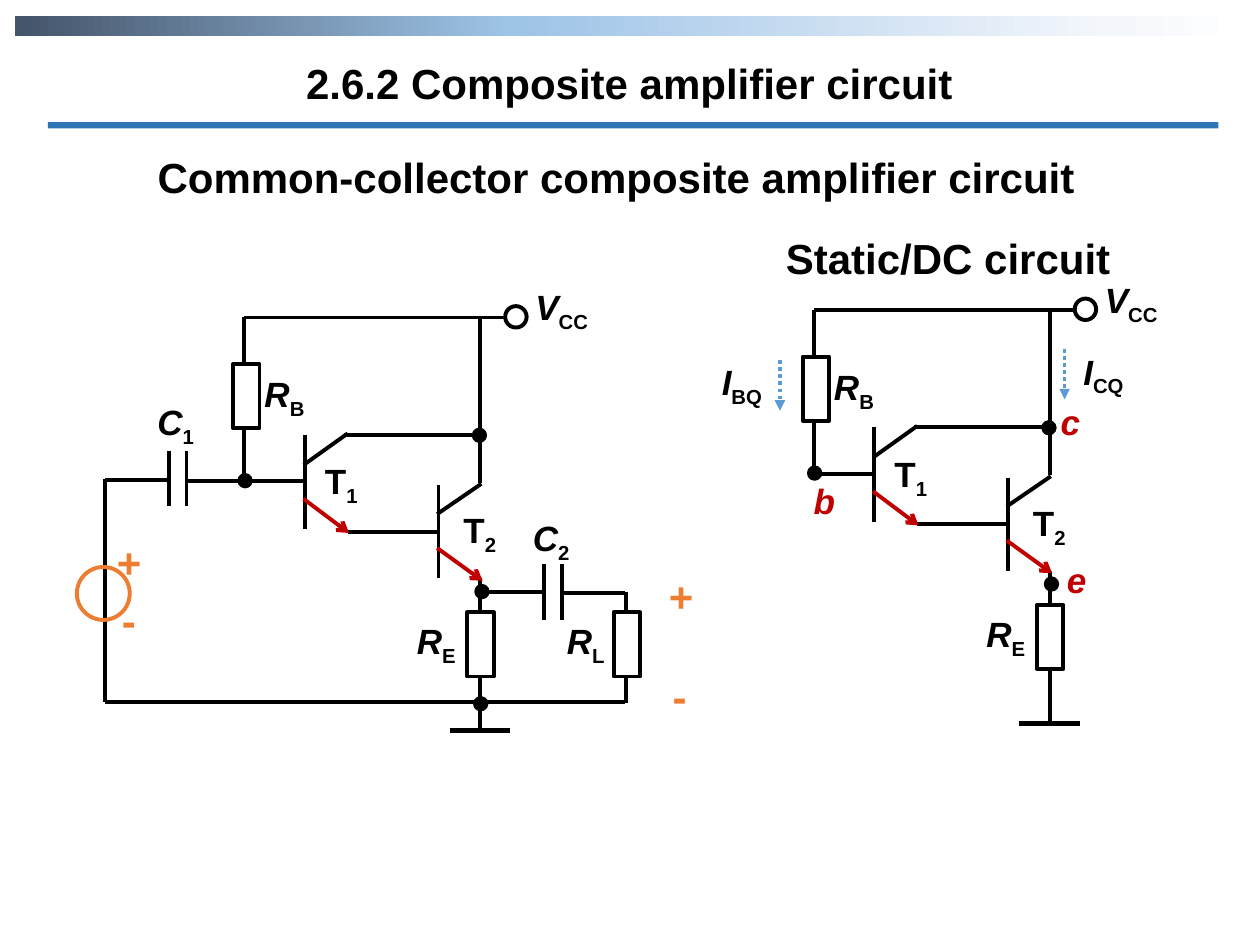
from copy import deepcopy
from typing import NamedTuple

from pptx import Presentation
from pptx.dml.color import RGBColor
from pptx.enum.dml import MSO_LINE as Dash
from pptx.enum.shapes import MSO_CONNECTOR as Conn, MSO_SHAPE as Shape
from pptx.enum.text import MSO_ANCHOR as Anchor, MSO_AUTO_SIZE as Fit, PP_ALIGN as Align
from pptx.oxml.ns import qn
from pptx.util import Inches, Pt
from lxml.etree import SubElement

BLACK = RGBColor(0x00, 0x00, 0x00)
WHITE = RGBColor(0xFF, 0xFF, 0xFF)
RED = RGBColor(0xC0, 0x00, 0x00)
ORANGE = RGBColor(0xED, 0x7D, 0x31)
BLUE = RGBColor(0x2E, 0x75, 0xB6)
SKY = RGBColor(0x5B, 0x9B, 0xD5)
FADE = [
    (0, RGBColor(0x44, 0x54, 0x6A)),
    (0.4, RGBColor(0x9D, 0xC3, 0xE6)),
    (0.89, RGBColor(0xF4, 0xF7, 0xFC)),
    (1, WHITE),
]


class Wire(NamedTuple):
    x1: float
    y1: float
    x2: float
    y2: float
    color: RGBColor = BLACK
    width: float = 2.25
    tip: str = ""
    dash: object = None


class Symbol(NamedTuple):
    kind: int
    x: float
    y: float
    w: float
    h: float
    fill: object = WHITE
    line: RGBColor = BLACK


class Label(NamedTuple):
    x: float
    y: float
    w: float
    main: str
    sub: str = ""
    size: float = 20
    color: RGBColor = BLACK
    italic: bool = True


class Circuit(NamedTuple):
    wires: list
    symbols: list
    labels: list


def dot(x: float, y: float) -> Symbol:
    return Symbol(Shape.OVAL, x, y, 0.09, 0.09, BLACK)


def ohm(x: float, y: float) -> Symbol:
    return Symbol(Shape.RECTANGLE, x, y, 0.21, 0.51)


def sign(x: float, y: float, mark: str) -> Label:
    return Label(x, y, 0.5, mark, size=24, color=ORANGE, italic=False)


def node(x: float, y: float, name: str) -> Label:
    return Label(x, y, 0.43, name, color=RED)


def draw_wire(canvas, wire: Wire, dx: float = 0, dy: float = 0) -> None:
    line = canvas.add_connector(
        Conn.STRAIGHT, Inches(wire.x1 + dx), Inches(wire.y1 + dy),
        Inches(wire.x2 + dx), Inches(wire.y2 + dy))
    line.line.color.rgb = wire.color
    line.line.width = Pt(wire.width)
    if wire.dash:
        line.line.dash_style = wire.dash
    props = line._element.spPr
    if wire.tip:
        SubElement(props.find(qn("a:ln")), qn("a:tailEnd"), type=wire.tip)
    SubElement(props, qn("a:effectLst"))


def draw_symbol(canvas, symbol: Symbol, dx: float = 0, dy: float = 0) -> None:
    shape = canvas.add_shape(symbol.kind, Inches(symbol.x + dx), Inches(symbol.y + dy),
                             Inches(symbol.w), Inches(symbol.h))
    shape.shadow.inherit = False
    if symbol.fill is None:
        shape.fill.background()
    else:
        shape.fill.solid()
        shape.fill.fore_color.rgb = symbol.fill
    shape.line.color.rgb = symbol.line
    shape.line.width = Pt(2.25)


def add_run(para, text: str, color: RGBColor, **fmt):
    run = para.add_run()
    run.text = text
    for key, value in {"name": "Arial", "bold": True, **fmt}.items():
        setattr(run.font, key, value)
    run.font.color.rgb = color
    return run


def set_frame(frame) -> None:
    frame.word_wrap = True
    frame.auto_size = Fit.SHAPE_TO_FIT_TEXT
    frame.vertical_anchor = Anchor.TOP


def draw_label(canvas, label: Label, dx: float = 0, dy: float = 0) -> None:
    height = 0.52 if label.sub else 0.5 if label.size == 24 else 0.44
    box = canvas.add_textbox(Inches(label.x + dx), Inches(label.y + dy),
                             Inches(label.w), Inches(height))
    set_frame(box.text_frame)
    para = box.text_frame.paragraphs[0]
    add_run(para, label.main, label.color, size=Pt(label.size), italic=label.italic)
    if label.sub:
        sub = add_run(para, label.sub, label.color, size=Pt(label.size), italic=False)
        sub._r.get_or_add_rPr().set("baseline", "-25000")


def draw_all(canvas, plan: Circuit, dx: float = 0, dy: float = 0) -> None:
    for wire in plan.wires:
        draw_wire(canvas, wire, dx, dy)
    for symbol in plan.symbols:
        draw_symbol(canvas, symbol, dx, dy)
    for label in plan.labels:
        draw_label(canvas, label, dx, dy)


def draw_head(shape, text: str, x: float, y: float, w: float) -> None:
    for key, value in {"left": x, "top": y, "width": w, "height": 0.5}.items():
        setattr(shape, key, Inches(value))
    set_frame(shape.text_frame)
    para = shape.text_frame.paragraphs[0]
    para.alignment = Align.CENTER
    add_run(para, text, BLACK, size=Pt(24))


def draw_bar(canvas, x: float, y: float, w: float, h: float):
    bar = canvas.add_shape(Shape.RECTANGLE, Inches(x), Inches(y), Inches(w), Inches(h))
    bar.shadow.inherit = False
    bar.line.fill.background()
    return bar


# Transistor pair with its bias, shared by both circuits
CORE = Circuit(
    [Wire(3.48, 3.85, 3.48, 4.59), Wire(2.42, 3.45, 2.42, 4.2),
     Wire(2.41, 3.69, 2.76, 3.44), Wire(3.47, 4.08, 3.82, 3.84),
     Wire(3.81, 3.83, 3.81, 2.51), Wire(3.81, 4.59, 3.81, 5.8),
     Wire(1.94, 3.82, 1.94, 2.52), Wire(4.01, 2.52, 1.94, 2.52),
     Wire(3.48, 4.22, 2.76, 4.22), Wire(3.83, 3.45, 2.73, 3.45),
     Wire(3.57, 5.8, 4.05, 5.8, width=3),
     Wire(2.41, 3.96, 2.77, 4.23, RED, tip="arrow"),
     Wire(3.47, 4.35, 3.83, 4.61, RED, tip="arrow")],
    [ohm(1.85, 2.89), ohm(3.71, 4.86), Symbol(Shape.OVAL, 4.01, 2.43, 0.17, 0.17),
     dot(3.78, 4.65), dot(1.9, 3.77), dot(3.76, 3.41)],
    [Label(4.15, 2.22, 0.79, "V", "CC"), Label(2, 2.91, 0.69, "R", "B"),
     Label(3.21, 4.87, 0.57, "R", "E"),
     Label(2.48, 3.6, 0.53, "T", "1", italic=False),
     Label(3.58, 3.99, 0.53, "T", "2", italic=False)])

# Signal source, coupling capacitors and load
SIGNAL = Circuit(
    [Wire(2.42, 3.82, 1.47, 3.82), Wire(1.34, 3.81, 0.83, 3.81),
     Wire(0.83, 3.8, 0.83, 5.57), Wire(4.96, 5.57, 0.83, 5.57),
     Wire(4.32, 4.7, 3.81, 4.7), Wire(4.96, 4.71, 4.46, 4.71),
     Wire(4.97, 4.7, 4.97, 5.58)]
    + [Wire(x, y, x, y + 0.44)
       for left, y in ((1.34, 3.58), (4.32, 4.48)) for x in (left, left + 0.14)],
    [Symbol(Shape.OVAL, 0.61, 4.5, 0.42, 0.42, None, ORANGE), ohm(4.87, 4.86),
     dot(3.77, 5.54)],
    [Label(1.15, 3.13, 0.63, "C", "1"), Label(4.13, 4.05, 0.58, "C", "2"),
     Label(4.4, 4.87, 0.58, "R", "L"), sign(0.83, 4.21, "+"), sign(0.87, 4.67, "-"),
     sign(5.21, 4.48, "+"), sign(5.24, 5.27, "-")])

# Bias currents and node names
BIAS = Circuit(
    [Wire(6.94, 3.76, 6.47, 3.76)]
    + [Wire(x, y, x, y + 0.4, SKY, 2, "triangle", Dash.ROUND_DOT)
       for x, y in ((6.19, 2.86), (8.45, 2.77))],
    [],
    [Label(5.63, 2.81, 0.58, "I", "BQ"), Label(8.5, 2.73, 0.67, "I", "CQ"),
     node(6.36, 3.76, "b"), node(8.37, 4.38, "e"), node(8.32, 3.13, "c")])


def main() -> None:
    prs = Presentation()
    prs.slide_width, prs.slide_height = Inches(10), Inches(7.5)
    slide = prs.slides.add_slide(prs.slide_layouts[5])
    canvas = slide.shapes

    # Header bars and title
    band = draw_bar(canvas, 0.12, 0.13, 9.76, 0.16)
    band.fill.gradient()
    band.fill.gradient_angle = 0
    stops = band._element.spPr.find(qn("a:gradFill")).find(qn("a:gsLst"))
    for _ in FADE[2:]:
        stops.append(deepcopy(stops[0]))
    for stop, (place, color) in zip(band.fill.gradient_stops, FADE):
        stop.position = place
        stop.color.rgb = color
    rule = draw_bar(canvas, 0.38, 0.97, 9.29, 0.05)
    rule.fill.solid()
    rule.fill.fore_color.rgb = BLUE
    draw_head(canvas.title, "2.6.2 Composite amplifier circuit", 0.35, 0.41, 9.29)

    # Section headings
    for text, x, y, w in (("Common-collector composite amplifier circuit", 0.44, 1.15, 8.9),
                          ("Static/DC circuit", 5.44, 1.8, 4.17)):
        draw_head(canvas.add_textbox(0, 0, 0, 0), text, x, y, w)

    # Amplifier on the left, its static circuit on the right
    for extra, dx, dy in ((SIGNAL, 0, 0), (BIAS, 4.52, -0.06)):
        group = canvas.add_group_shape().shapes
        draw_all(group, CORE, dx, dy)
        draw_all(group, extra)

    prs.save("out.pptx")


if __name__ == "__main__":
    main()
